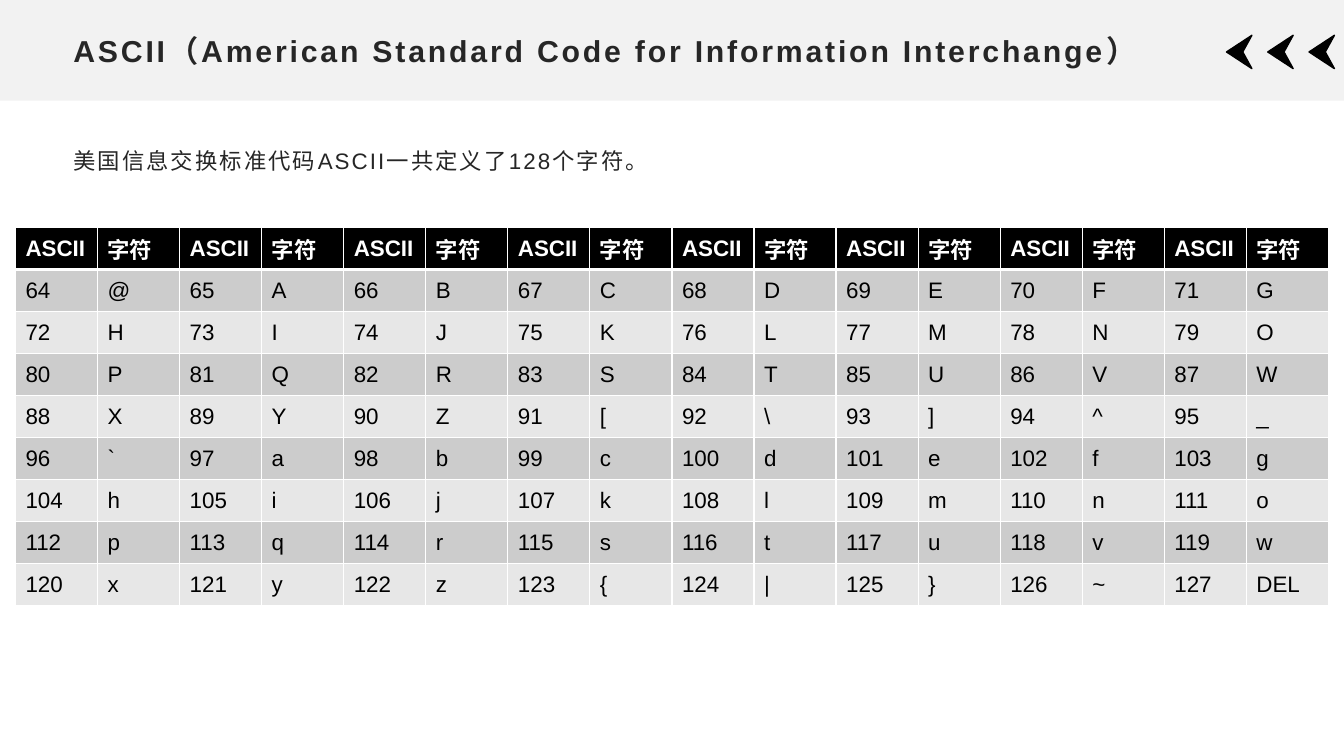
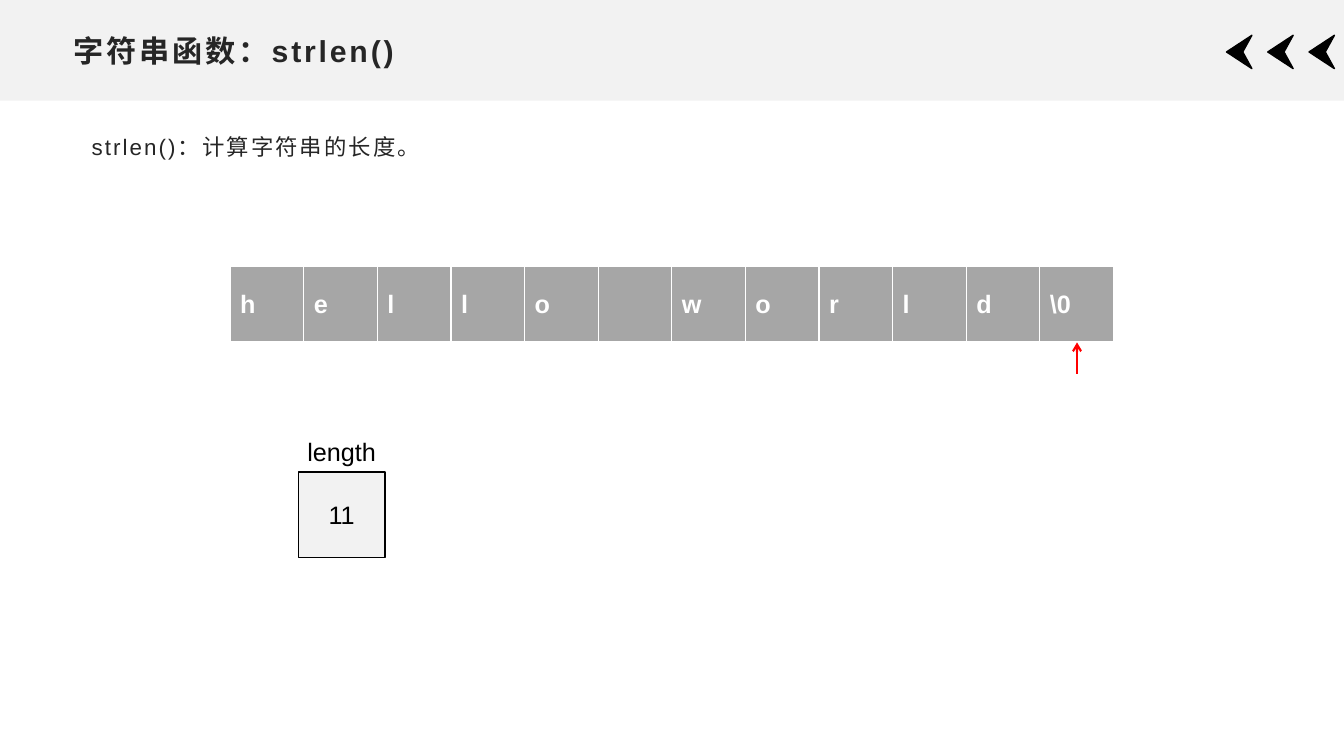
from lxml import etree
from pptx import Presentation
from pptx.dml.color import RGBColor
from pptx.enum.shapes import MSO_CONNECTOR, MSO_SHAPE
from pptx.enum.text import MSO_ANCHOR, PP_ALIGN
from pptx.oxml.ns import qn
from pptx.util import Cm, Pt

RECT = MSO_SHAPE.RECTANGLE
STRAIGHT = MSO_CONNECTOR.STRAIGHT
TOP, MIDDLE = MSO_ANCHOR.TOP, MSO_ANCHOR.MIDDLE
LEFT, CENTER = PP_ALIGN.LEFT, PP_ALIGN.CENTER

FONT = "Arial"
COLORS = {
    "band": "F2F2F2", "ink": "262626", "black": "000000", "white": "FFFFFF",
    "row_dark": "CCCCCC", "row_light": "E7E7E7", "cell": "A6A6A6", "arrow": "FF0000",
}
SLIDE_W, SLIDE_H = 33.87, 19.05
BAND_H = 2.54


def rgb(name):
    return RGBColor.from_string(COLORS[name])


# Shared helpers
def write(tf, text, size, color, bold=False, align=LEFT, spacing=0):
    p = tf.paragraphs[0]
    p.alignment = align
    p.font.name, p.font.size, p.font.bold = FONT, Pt(size), bold
    p.font.color.rgb = rgb(color)
    r = p.add_run()
    r.text = text
    if spacing:
        r._r.get_or_add_rPr().set("spc", str(int(spacing * 100)))
    return p


def add_text(slide, box, text, size, color, anchor=TOP, **style):
    tf = slide.shapes.add_textbox(*map(Cm, box)).text_frame
    tf.word_wrap = True
    tf.vertical_anchor = anchor
    return write(tf, text, size, color, **style)


def paint(sp, fill, line=None):
    sp.shadow.inherit = False
    sp.fill.solid()
    sp.fill.fore_color.rgb = rgb(fill)
    if line:
        sp.line.color.rgb = rgb(line)
        sp.line.width = Pt(1)
    else:
        sp.line.fill.background()


def style_cell(cell, text, size, fill, color, bold, top=1, bottom=1):
    tcPr = cell._tc.get_or_add_tcPr()
    for side, width in (("L", 1), ("R", 1), ("T", top), ("B", bottom)):
        ln = etree.SubElement(tcPr, qn(f"a:ln{side}"), w=str(Pt(width)))
        solid = etree.SubElement(ln, qn("a:solidFill"))
        etree.SubElement(solid, qn("a:srgbClr"), val=COLORS["white"])
    cell.fill.solid()
    cell.fill.fore_color.rgb = rgb(fill)
    cell.vertical_anchor = MIDDLE
    if text:
        write(cell.text_frame, text, size, color, bold)


def add_grid(slide, box, n_rows, n_cols, header):
    table = slide.shapes.add_table(n_rows, n_cols, *map(Cm, box)).table
    table.first_row, table.horz_banding = header, False
    for column in table.columns:
        column.width = Cm(box[2] / n_cols)
    for row in table.rows:
        row.height = Cm(box[3] / n_rows)
    return table


# Title band with three chevrons
def add_chevron(slide, left, top, width, height):
    points = [(width, height), (0, height / 2), (width, 0), (width * 0.64, height / 2)]
    start, *rest = [(Cm(left + x), Cm(top + y)) for x, y in points]
    builder = slide.shapes.build_freeform(*start)
    builder.add_line_segments(rest, close=True)
    paint(builder.convert_to_shape(), "black", "black")


def add_header(slide, title):
    paint(slide.shapes.add_shape(RECT, 0, 0, Cm(SLIDE_W), Cm(BAND_H)), "band")
    for i in range(3):
        add_chevron(slide, 30.91 + i * 1.04, 0.89, 0.64, 0.84)
    add_text(slide, (1.6, 0.66, 30.66, 1.22), title, 21.6, "ink",
             anchor=MIDDLE, bold=True, spacing=2)


def add_body(slide, box, text):
    p = add_text(slide, box, text, 16, "ink", spacing=1.5)
    p.line_spacing = 1.3
    p.space_after = Pt(10)


# Code table: eight pairs of code and character in each row
def add_ascii_table(slide, box, first=64, last=127, pairs=8):
    n_rows = (last - first + 1) // pairs
    table = add_grid(slide, box, n_rows + 1, pairs * 2, header=True)
    for c in range(pairs * 2):
        style_cell(table.cell(0, c), ("ASCII", "字符")[c % 2], 16,
                   "black", "white", True, bottom=3)
    for code in range(first, last + 1):
        row, pair = divmod(code - first, pairs)
        fill = ("row_dark", "row_light")[row % 2]
        char = "DEL" if code == 127 else chr(code)
        for k, text in enumerate((str(code), char)):
            style_cell(table.cell(row + 1, pair * 2 + k), text, 16, fill,
                       "black", False, top=1 if row else 3)


# Character array with an arrow under its last cell
def add_char_array(slide, box, chars):
    left, top, width, height = box
    table = add_grid(slide, box, 1, len(chars), header=False)
    for c, char in enumerate(chars):
        style_cell(table.cell(0, c), char.strip(), 18, "cell", "white", True, bottom=3)

    x = left + width * (1 - 0.5 / len(chars))
    bottom = top + height
    arrow = slide.shapes.add_connector(STRAIGHT, Cm(x), Cm(bottom + 0.79),
                                       Cm(x), Cm(bottom))
    arrow.line.color.rgb = rgb("arrow")
    arrow.line.width = Pt(1.5)
    etree.SubElement(arrow.line._get_or_add_ln(), qn("a:tailEnd"), type="arrow")
    etree.SubElement(arrow._element.spPr, qn("a:effectLst"))


# Variable box with its name above
def add_variable(slide, box, name, value):
    left, top, width, height = box
    sp = slide.shapes.add_shape(RECT, *map(Cm, box))
    paint(sp, "band", "black")
    sp.text_frame.vertical_anchor = MIDDLE
    write(sp.text_frame, value, 18, "black", align=CENTER)
    add_text(slide, (left - 0.1, top - 1.02, width + 0.2, 1.02), name, 18,
             "black", align=CENTER)


# Slides
def ascii_slide(slide):
    add_header(slide, "ASCII（American Standard Code for Information Interchange）")
    add_body(slide, (1.6, 3.38, 15.9, 1.52), "美国信息交换标准代码ASCII一共定义了128个字符。")
    add_ascii_table(slide, (0.39, 5.73, 33.1, 9.53))


def strlen_slide(slide):
    add_header(slide, "字符串函数：strlen()")
    add_body(slide, (2.06, 3.02, 9.2, 1.52), "strlen()：计算字符串的长度。")
    add_char_array(slide, (5.8, 6.71, 22.27, 1.92), [*"hello world", "\\0"])
    add_variable(slide, (7.52, 11.89, 2.18, 2.16), "length", "11")


prs = Presentation()
prs.slide_width, prs.slide_height = Cm(SLIDE_W), Cm(SLIDE_H)
for build in (ascii_slide, strlen_slide):
    build(prs.slides.add_slide(prs.slide_layouts[6]))
prs.save("out.pptx")
